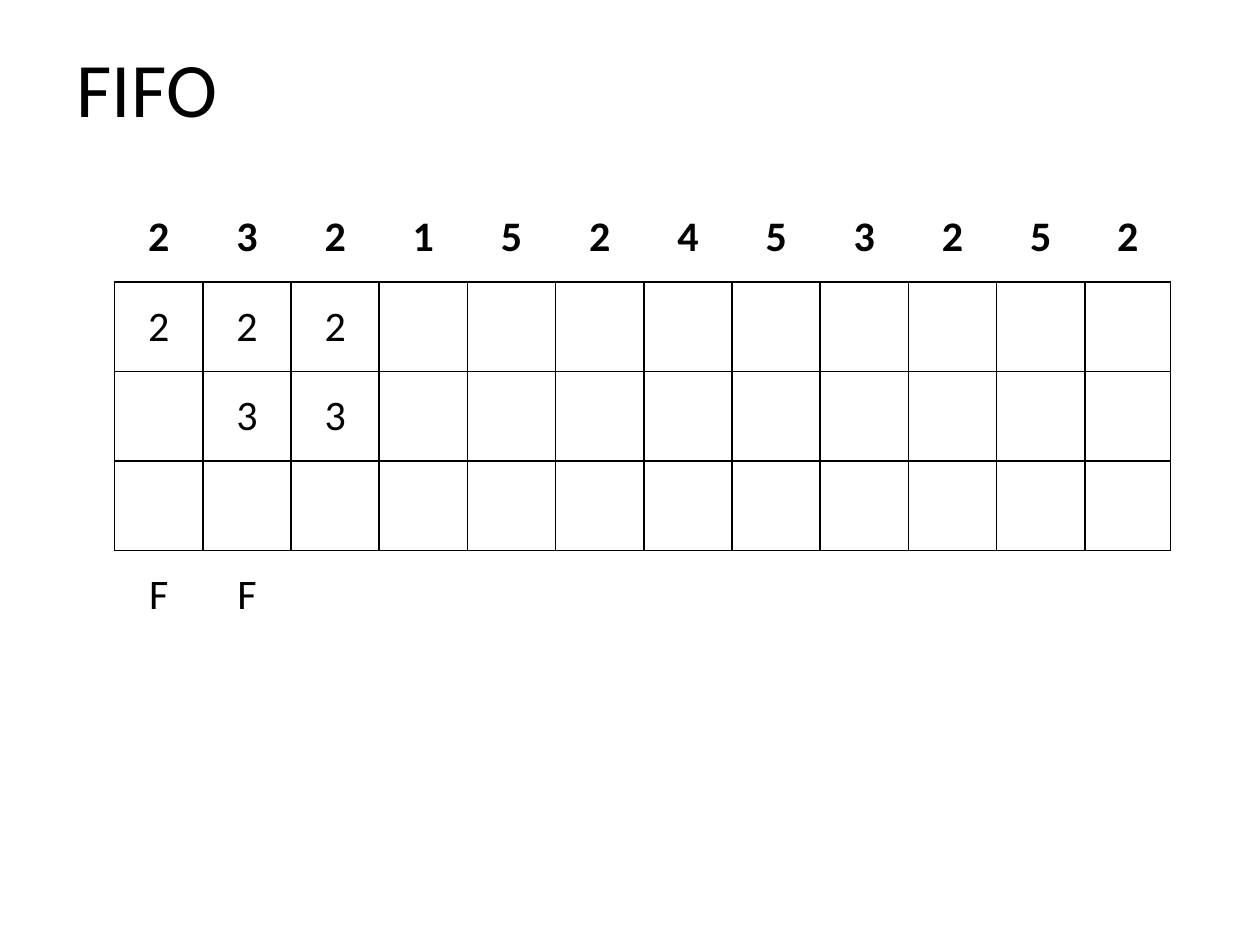
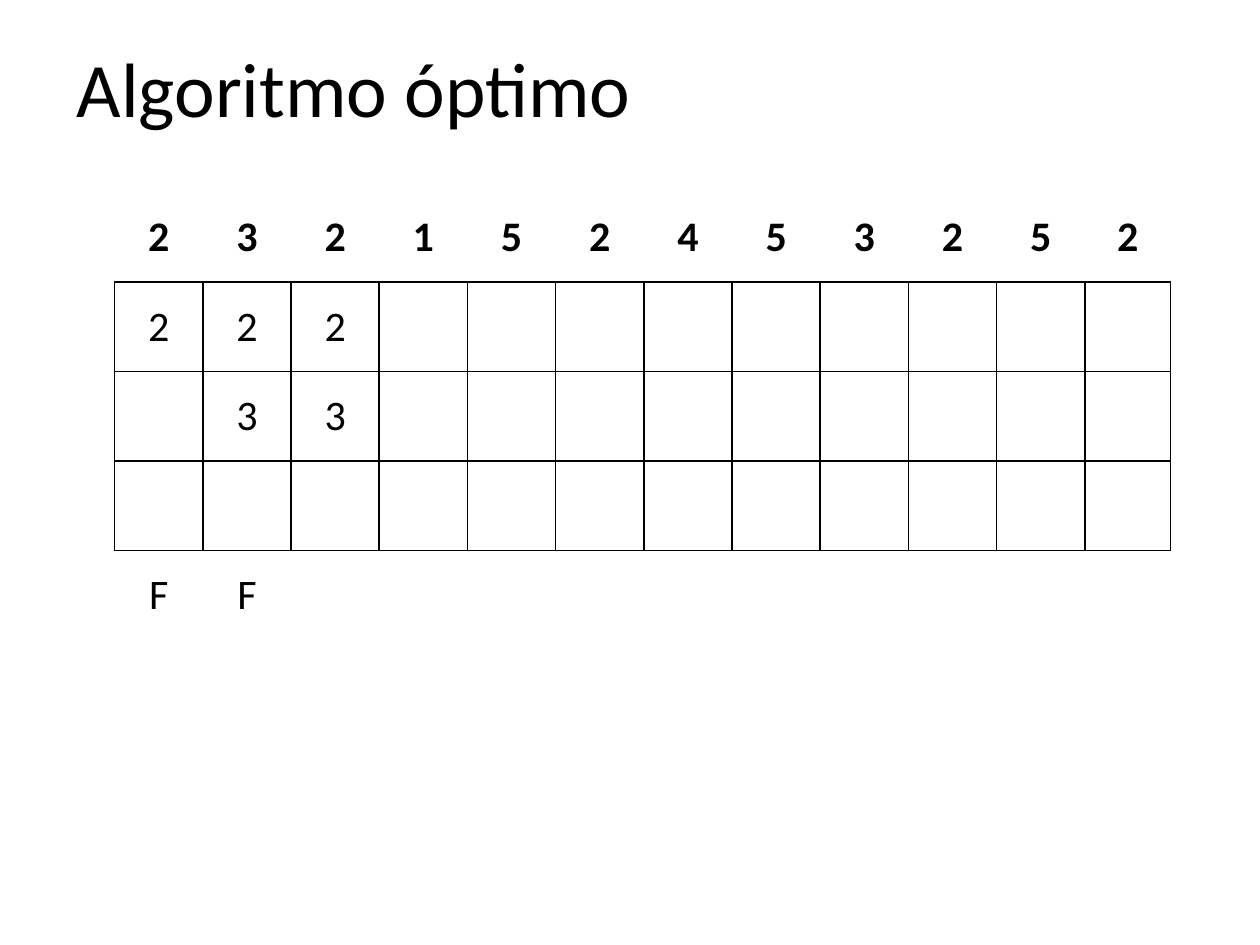
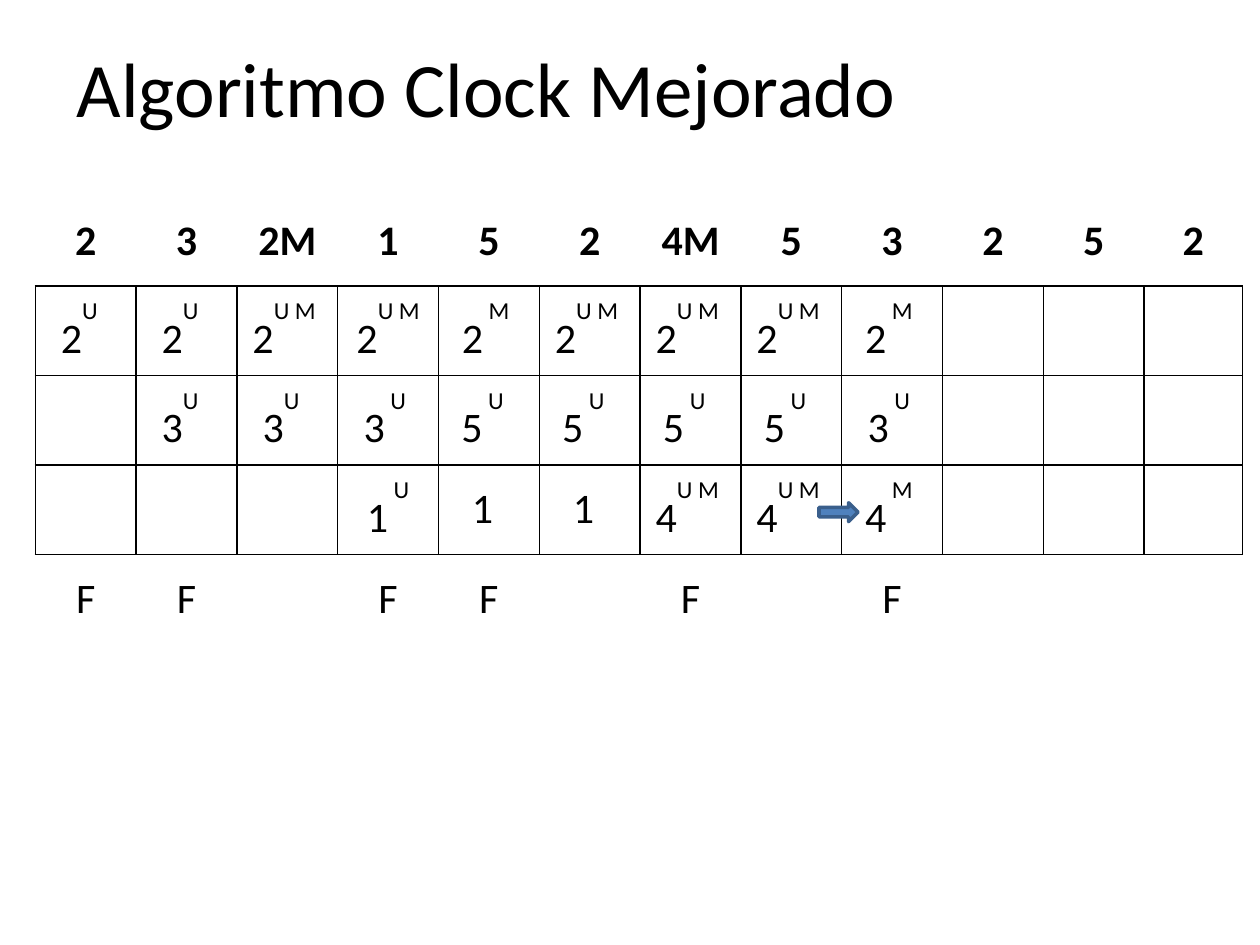
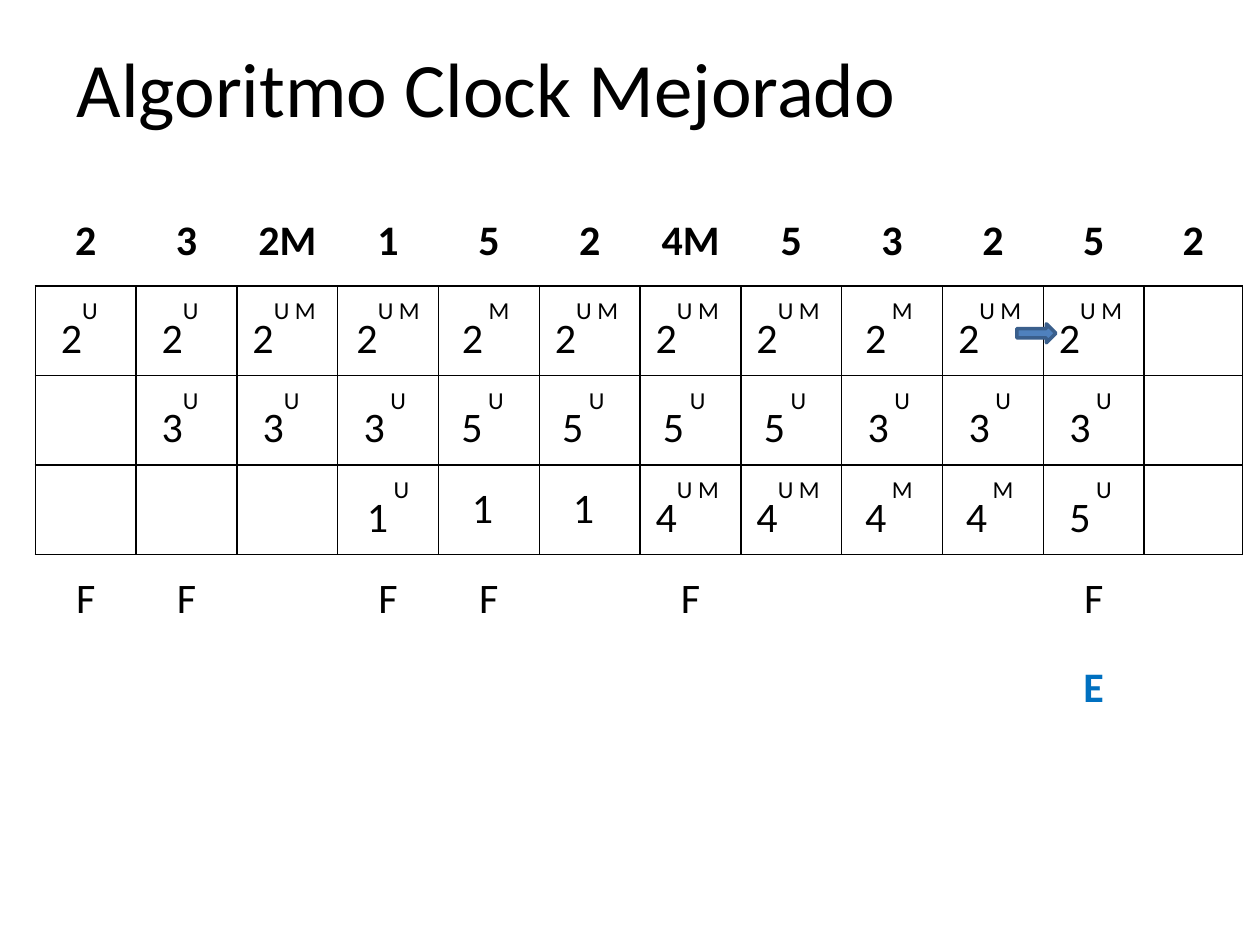
from dataclasses import dataclass
from typing import Any, NamedTuple

from lxml import etree
from pptx import Presentation
from pptx.dml.color import RGBColor
from pptx.enum.shapes import MSO_SHAPE
from pptx.enum.text import MSO_ANCHOR, PP_ALIGN
from pptx.oxml.ns import qn
from pptx.util import Inches, Pt

RIGHT_ARROW = MSO_SHAPE.RIGHT_ARROW
MIDDLE = MSO_ANCHOR.MIDDLE
CENTER = PP_ALIGN.CENTER
BLANK_LAYOUT = 6
PLAIN_TABLE_STYLE = "{2D5ABB26-0587-4C30-8999-92F81FD0307C}"
BORDER_SIDES = ("L", "R", "T", "B")


@dataclass(frozen=True)
class Theme:
    font: str = "Calibri"
    ink: RGBColor = RGBColor(0x00, 0x00, 0x00)
    paper: RGBColor = RGBColor(0xFF, 0xFF, 0xFF)
    mark: RGBColor = RGBColor(0x00, 0x70, 0xC0)
    arrow: RGBColor = RGBColor(0x4F, 0x81, 0xBD)
    arrow_edge: RGBColor = RGBColor(0x3A, 0x5F, 0x8C)
    title_size: Pt = Pt(44)
    cell_size: Pt = Pt(24)
    border: Pt = Pt(1)
    arrow_line: Pt = Pt(2)
    raised_baseline: str = "80000"


THEME = Theme()


class Grid(NamedTuple):
    left: float
    top: float
    column_width: float
    last_width: float
    row_height: float = 0.71
    columns: int = 12


class Point(NamedTuple):
    left: float
    top: float


@dataclass(frozen=True)
class PagingSlide:
    title: str
    title_width: float
    grid: Grid
    requests: str
    frames: tuple[str, ...]
    faults: str
    notes: str | None = None
    arrow: Point | None = None


SIMPLE_GRID = Grid(0.91, 1.53, 0.7, 0.68)
CLOCK_GRID = Grid(0.28, 1.56, 0.8, 0.78)
SIMPLE_REQUESTS = "2|3|2|1|5|2|4|5|3|2|5|2"
CLOCK_REQUESTS = "2|3|2M|1|5|2|4M|5|3|2|5|2"
SIMPLE_FRAMES = ("2|2|2", "|3|3", "")
SIMPLE_FAULTS = "F|F"
CLOCK_FAULTS = "F|F||F|F||F"

# In cells, ^ starts the raised flags and each final _ widens the right margin.
CLOCK_FRAMES = (
    "2^U__|2^U__|2^U M_|2^U M|2^ M_|2^U M_|2^U M_|2^U M_|2^ M_",
    "|3^U__|3^U__|3^ U_|5^ U__|5^ U__|5^ U__|5^ U__|3^ U_",
    "|||1^ U|1__|1__|4^U M_|4^U M_|4^ M_",
)
LATER_FRAMES = ("|2^U M_|2^U M_", "|3^ U_|3^ U_", "|4^ M_|5^ U_")

SLIDES = (
    PagingSlide("FIFO", 1.42, SIMPLE_GRID, SIMPLE_REQUESTS, SIMPLE_FRAMES, SIMPLE_FAULTS),
    PagingSlide("Algoritmo óptimo", 4.96, SIMPLE_GRID, SIMPLE_REQUESTS,
                SIMPLE_FRAMES, SIMPLE_FAULTS),
    PagingSlide("Algoritmo Clock Mejorado", 7.4, CLOCK_GRID, CLOCK_REQUESTS,
                CLOCK_FRAMES, CLOCK_FAULTS + "||F", "", Point(6.5, 3.99)),
    PagingSlide("Algoritmo Clock Mejorado", 7.4, CLOCK_GRID, CLOCK_REQUESTS,
                tuple(early + late for early, late in zip(CLOCK_FRAMES, LATER_FRAMES)),
                CLOCK_FAULTS + "||||F", "||||||||||E", Point(8.07, 2.57)),
)


def apply(target: Any, values: dict[str, Any]) -> None:
    for name, value in values.items():
        setattr(target, name, value)


def add_span(para: Any, text: str, size: Pt, color: RGBColor, bold: bool = False) -> Any:
    span = para.add_run()
    span.text = text
    apply(span.font, {"name": THEME.font, "size": size, "bold": bold})
    span.font.color.rgb = color
    return span


def add_title(page: Any, text: str, width: float) -> None:
    box = page.shapes.add_textbox(Inches(0.51), Inches(0.29), Inches(width), Inches(0.79))
    apply(box.text_frame, {"word_wrap": True, "vertical_anchor": MIDDLE})
    add_span(box.text_frame.paragraphs[0], text, THEME.title_size, THEME.ink)


def set_borders(cell: Any, drawn: str) -> None:
    properties = cell._tc.get_or_add_tcPr()
    for position, side in enumerate(BORDER_SIDES):
        line = etree.Element(qn(f"a:ln{side}"), w=str(THEME.border))
        if side in drawn:
            fill = etree.SubElement(line, qn("a:solidFill"))
            etree.SubElement(fill, qn("a:srgbClr"), val=str(THEME.ink))
        else:
            etree.SubElement(line, qn("a:noFill"))
        properties.insert(position, line)


def fill_cell(cell: Any, content: str, borders: str, color: RGBColor, bold: bool) -> None:
    value, _, flags = content.rstrip("_").partition("^")
    nudge = 0.05 * content.count("_")
    apply(cell, {"vertical_anchor": MIDDLE, "margin_left": Inches(0.05),
                 "margin_right": Inches(0.05 + nudge)})
    cell.fill.background()
    set_borders(cell, borders)
    para = cell.text_frame.paragraphs[0]
    para.alignment = CENTER
    if value:
        add_span(para, value, THEME.cell_size, color, bold)
    if flags:
        raised = add_span(para, flags, THEME.cell_size, color, bold)
        raised.font._element.set("baseline", THEME.raised_baseline)


def add_paging_table(page: Any, item: PagingSlide) -> None:
    grid = item.grid
    rows = [(item.requests, "B", THEME.ink, True)]
    rows += [(frame, "LRTB", THEME.ink, False) for frame in item.frames]
    rows.append((item.faults, "T", THEME.ink, False))
    if item.notes is not None:
        rows.append((item.notes, "", THEME.mark, True))
    width = grid.column_width * (grid.columns - 1) + grid.last_width
    holder = page.shapes.add_table(len(rows), grid.columns, Inches(grid.left), Inches(grid.top),
                                   Inches(width), Inches(grid.row_height * len(rows)))
    table = holder.table
    apply(table, {"first_row": False, "horz_banding": False})
    table._tbl.tblPr.find(qn("a:tableStyleId")).text = PLAIN_TABLE_STYLE
    for column in table.columns:
        column.width = Inches(grid.column_width)
    table.columns[grid.columns - 1].width = Inches(grid.last_width)
    for row_number, (line, borders, color, bold) in enumerate(rows):
        table.rows[row_number].height = Inches(grid.row_height)
        contents = line.split("|")
        contents += [""] * (grid.columns - len(contents))
        for column_number, content in enumerate(contents):
            fill_cell(table.cell(row_number, column_number), content, borders, color, bold)


def add_clock_arrow(page: Any, point: Point) -> None:
    arrow = page.shapes.add_shape(RIGHT_ARROW, Inches(point.left), Inches(point.top),
                                  Inches(0.31), Inches(0.15))
    arrow.shadow.inherit = False
    arrow.fill.solid()
    arrow.fill.fore_color.rgb = THEME.arrow
    arrow.line.color.rgb = THEME.arrow_edge
    arrow.line.width = THEME.arrow_line


def add_page(deck: Any, item: PagingSlide) -> None:
    page = deck.slides.add_slide(deck.slide_layouts[BLANK_LAYOUT])
    page.background.fill.solid()
    page.background.fill.fore_color.rgb = THEME.paper
    add_title(page, item.title, item.title_width)
    add_paging_table(page, item)
    if item.arrow:
        add_clock_arrow(page, item.arrow)


def main() -> None:
    deck = Presentation()
    apply(deck, {"slide_width": Inches(10), "slide_height": Inches(7.5)})
    for item in SLIDES:
        add_page(deck, item)
    deck.save("out.pptx")


if __name__ == "__main__":
    main()
